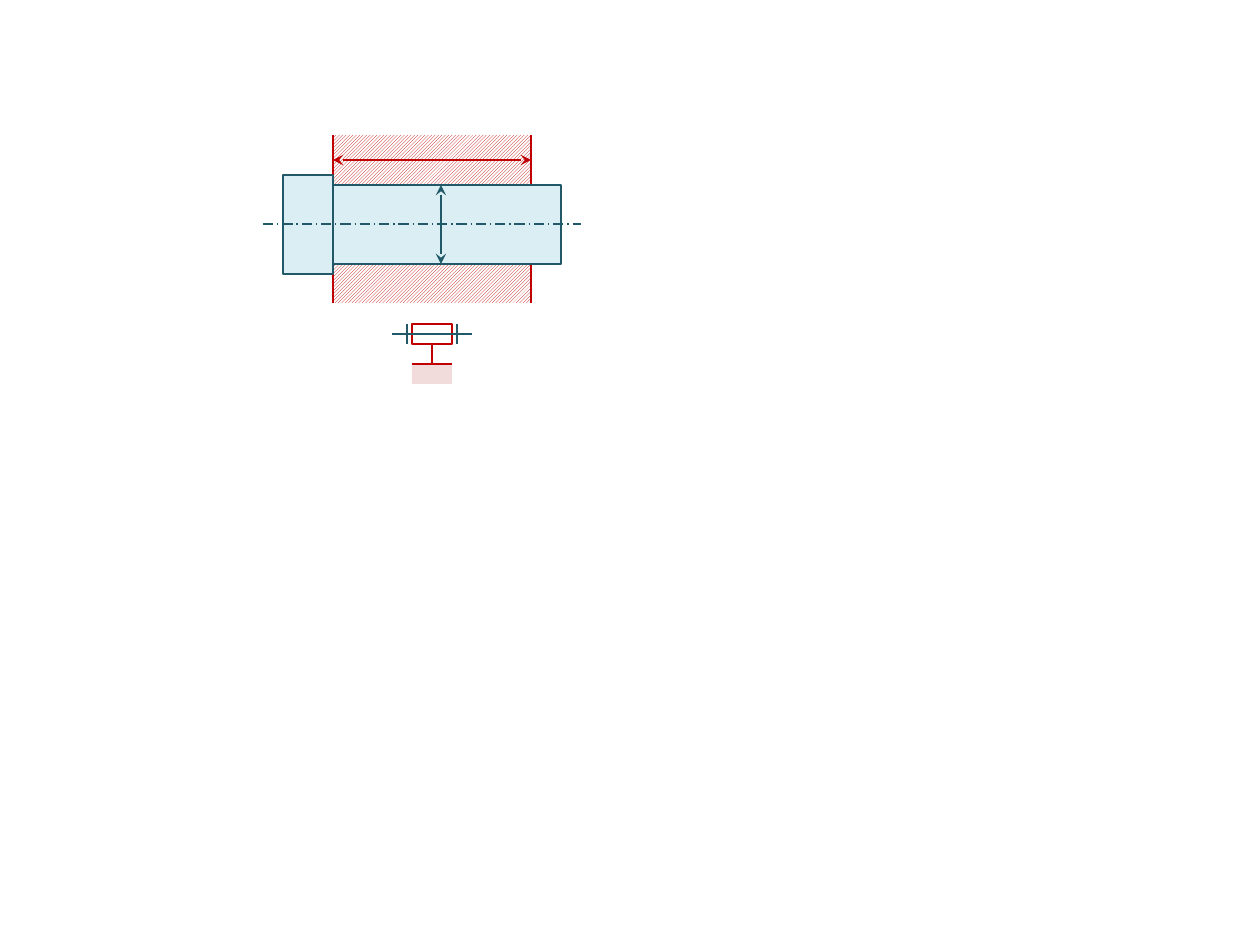
from pptx import Presentation
from pptx.dml.color import RGBColor
from pptx.enum.dml import MSO_LINE as Dash, MSO_PATTERN as Pattern
from pptx.enum.shapes import MSO_CONNECTOR as Connector, MSO_SHAPE as Shape
from pptx.oxml.ns import qn
from pptx.util import Pt
from lxml.etree import SubElement

PIXEL = 914400 // 126
RED = RGBColor(0xC0, 0x00, 0x00)
PINK = RGBColor(0xF2, 0xDC, 0xDB)
TEAL = RGBColor(0x21, 0x59, 0x68)
PALE = RGBColor(0xDB, 0xEE, 0xF4)
WHITE = RGBColor(0xFF, 0xFF, 0xFF)
THICK, THIN = 1.5, 0.75


class Drawing:
    def __init__(self, page):
        self.page = page

    def box(self, left, top, width, height, fill=None, line=None, hatch=None, parent=None):
        shapes = (parent or self.page).shapes
        box = shapes.add_shape(Shape.RECTANGLE, *(n * PIXEL for n in (left, top, width, height)))
        box.shadow.inherit = False
        if hatch:
            box.fill.patterned()
            box.fill.pattern = Pattern.LIGHT_UPWARD_DIAGONAL
            box.fill.fore_color.rgb = hatch
            box.fill.back_color.rgb = WHITE
        elif fill:
            box.fill.solid()
            box.fill.fore_color.rgb = fill
        else:
            box.fill.background()
        if line:
            box.line.color.rgb = line
            box.line.width = Pt(THICK)
        else:
            box.line.fill.background()

    def line(self, x1, y1, x2, y2, color, width=THICK, dash=None, arrows=False, parent=None):
        shapes = (parent or self.page).shapes
        line = shapes.add_connector(Connector.STRAIGHT, *(n * PIXEL for n in (x1, y1, x2, y2)))
        line.line.color.rgb = color
        line.line.width = Pt(width)
        if dash:
            line.line.dash_style = dash
        if arrows:
            for end in ("a:headEnd", "a:tailEnd"):
                SubElement(line.line._get_or_add_ln(), qn(end), type="stealth")
        SubElement(line._element.spPr, qn("a:effectLst"))

    def housing(self, left, right, top, bottom, bore):
        group = self.page.shapes.add_group_shape()
        self.box(left, top, right - left, bottom - top, hatch=RED, parent=group)
        for x in (left, right):
            self.line(x, top, x, bottom, RED, parent=group)
        self.line(left, bore, right, bore, RED, parent=group)


deck = Presentation()
deck.slide_width, deck.slide_height = 1260 * PIXEL, 945 * PIXEL
page = deck.slides.add_slide(deck.slide_layouts[6])
drawing = Drawing(page)

left, right = 333, 531
bore_top, bore_bottom, axis = 185, 264, 224
symbol_left, symbol_right, symbol_top, symbol_bottom = 412, 452, 324, 344
symbol_middle, symbol_axis, ground = 432, 334, 364
symbol_width, symbol_height = symbol_right - symbol_left, symbol_bottom - symbol_top

drawing.box(symbol_left, ground, symbol_width, symbol_height, fill=PINK)

drawing.housing(left, right, 135, bore_top, bore_top)
drawing.housing(left, right, bore_bottom, 303, bore_bottom)
drawing.box(283, 175, left - 283, 99, fill=PALE, line=TEAL)
drawing.box(left, bore_top, 228, bore_bottom - bore_top, fill=PALE, line=TEAL)
drawing.line(263, axis, 581, axis, TEAL, THIN, dash=Dash.LONG_DASH_DOT)

drawing.box(symbol_left, symbol_top, symbol_width, symbol_height, line=RED)
drawing.line(symbol_left - 20, symbol_axis, symbol_right + 20, symbol_axis, TEAL)
for x in (symbol_left - 5, symbol_right + 5):
    drawing.line(x, symbol_top, x, symbol_bottom, TEAL)
drawing.line(symbol_middle, symbol_bottom, symbol_middle, ground, RED)
drawing.line(symbol_left, ground, symbol_right, ground, RED)

drawing.line(441, bore_top, 441, bore_bottom, TEAL, THIN, arrows=True)
drawing.line(left, 160, right, 160, RED, THIN, arrows=True)

deck.save("out.pptx")
